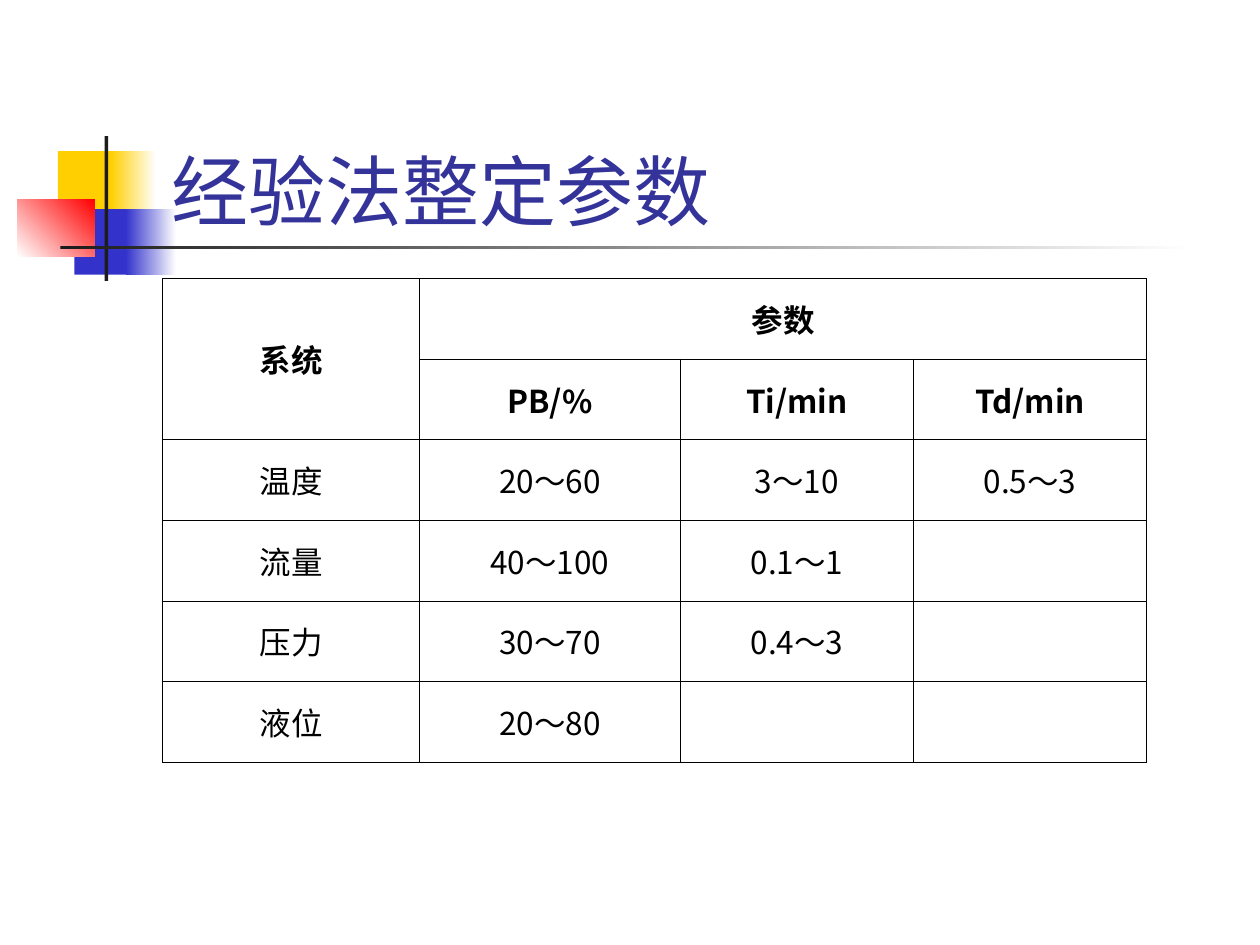
import pptx
import pptx.util
import pptx.dml.color
import pptx.enum.shapes
import pptx.enum.text
import pptx.oxml.ns
from lxml import etree

Inches, Pt = pptx.util.Inches, pptx.util.Pt
ANCHOR = pptx.enum.text.MSO_ANCHOR
ALIGN = pptx.enum.text.PP_ALIGN
COLORS = {
    "yellow": "FFCF01", "blue": "3333CC", "red": "FF0000", "white": "FFFFFF",
    "dark": "1C1C1C", "title": "333399", "black": "000000",
}
CJK = "Noto Sans CJK SC"


def rgb(name):
    return pptx.dml.color.RGBColor.from_string(COLORS[name])


def sub(parent, tag, **attrs):
    return etree.SubElement(parent, pptx.oxml.ns.qn(tag), **attrs)


def write(tf, text, size=18, color="black", font=CJK, bold=False,
          align=ALIGN.LEFT, hanging=0):
    p = tf.paragraphs[0]
    p.alignment = align
    if hanging:
        pPr = p._p.get_or_add_pPr()
        pPr.set("marL", str(Inches(hanging)))
        pPr.set("indent", str(-Inches(hanging)))
    r = p.add_run()
    r.text = text
    r.font.size, r.font.bold, r.font.name = Pt(size), bold, font
    r.font.color.rgb = rgb(color)
    sub(r._r.get_or_add_rPr(), "a:ea", typeface=CJK)


class Deck:
    def __init__(self, prs):
        self.s = prs.slides.add_slide(prs.slide_layouts[5])

    def rect(self, x, y, w, h, color, end=None, angle=0):
        sp = self.s.shapes.add_shape(
            pptx.enum.shapes.MSO_SHAPE.RECTANGLE,
            Inches(x), Inches(y), Inches(w), Inches(h))
        sp.shadow.inherit = False
        sp.line.fill.background()
        if end is None:
            sp.fill.solid()
            sp.fill.fore_color.rgb = rgb(color)
            return
        sp.fill.gradient()
        sp.fill.gradient_angle = angle
        for stop, name in zip(sp.fill.gradient_stops, (color, end)):
            stop.color.rgb = rgb(name)

    def title(self, text, x, y, w, h):
        sp = self.s.shapes.title
        sp.left, sp.top, sp.width, sp.height = map(Inches, (x, y, w, h))
        tf = sp.text_frame
        tf.word_wrap = True
        tf.vertical_anchor = ANCHOR.BOTTOM
        write(tf, text, size=44, color="title", font="Roboto")
        # Bring the title in front of the decoration
        self.s.shapes._spTree.append(sp._element)

    def borders(self, cell):
        tcPr = cell._tc.get_or_add_tcPr()
        for side in "LRTB":
            ln = sub(tcPr, f"a:ln{side}", w=str(Pt(0.45)))
            sub(sub(ln, "a:solidFill"), "a:srgbClr", val=COLORS["black"])

    def table(self, rows, x, y, widths, row_height, header_rows, merges):
        tbl = self.s.shapes.add_table(
            len(rows), len(widths), Inches(x), Inches(y),
            Inches(sum(widths)), Inches(row_height * len(rows))).table
        tbl.first_row = tbl.horz_banding = False
        for col, width in zip(tbl.columns, widths):
            col.width = Inches(width)
        for i, row in enumerate(rows):
            tbl.rows[i].height = Inches(row_height)
            for j, text in enumerate(row):
                cell = tbl.cell(i, j)
                self.borders(cell)
                cell.fill.background()
                cell.vertical_anchor = ANCHOR.MIDDLE
                if text:
                    write(cell.text_frame, text, bold=i < header_rows,
                          align=ALIGN.CENTER, hanging=0.38)
        for first, last in merges:
            tbl.cell(*first).merge(tbl.cell(*last))


def main():
    prs = pptx.Presentation()
    prs.slide_width, prs.slide_height = Inches(10), Inches(7.5)
    deck = Deck(prs)

    # Coloured squares and crossing bars
    deck.rect(0.46, 1.2, 0.48, 0.52, "yellow")
    deck.rect(0.88, 1.2, 0.36, 0.52, "yellow", "white")
    deck.rect(0.59, 1.66, 0.46, 0.52, "blue")
    deck.rect(1, 1.66, 0.4, 0.52, "blue", "white")
    deck.rect(0.14, 1.58, 0.61, 0.46, "white", "red", angle=45)
    deck.rect(0.83, 1.08, 0.03, 1.15, "dark")
    deck.rect(0.48, 1.95, 9, 0.03, "dark", "white")

    deck.title("经验法整定参数", 1.26, 0.67, 8.52, 1.25)

    # Parameter ranges by system
    rows = [
        ("系统", "参数", "", ""),
        ("", "PB/%", "Ti/min", "Td/min"),
        ("温度", "20～60", "3～10", "0.5～3"),
        ("流量", "40～100", "0.1～1", ""),
        ("压力", "30～70", "0.4～3", ""),
        ("液位", "20～80", "", ""),
    ]
    deck.table(rows, 1.29, 2.21, (2.04, 2.07, 1.85, 1.85), 0.64,
               header_rows=2, merges=[((0, 0), (1, 0)), ((0, 1), (0, 3))])

    prs.save("out.pptx")


if __name__ == "__main__":
    main()
